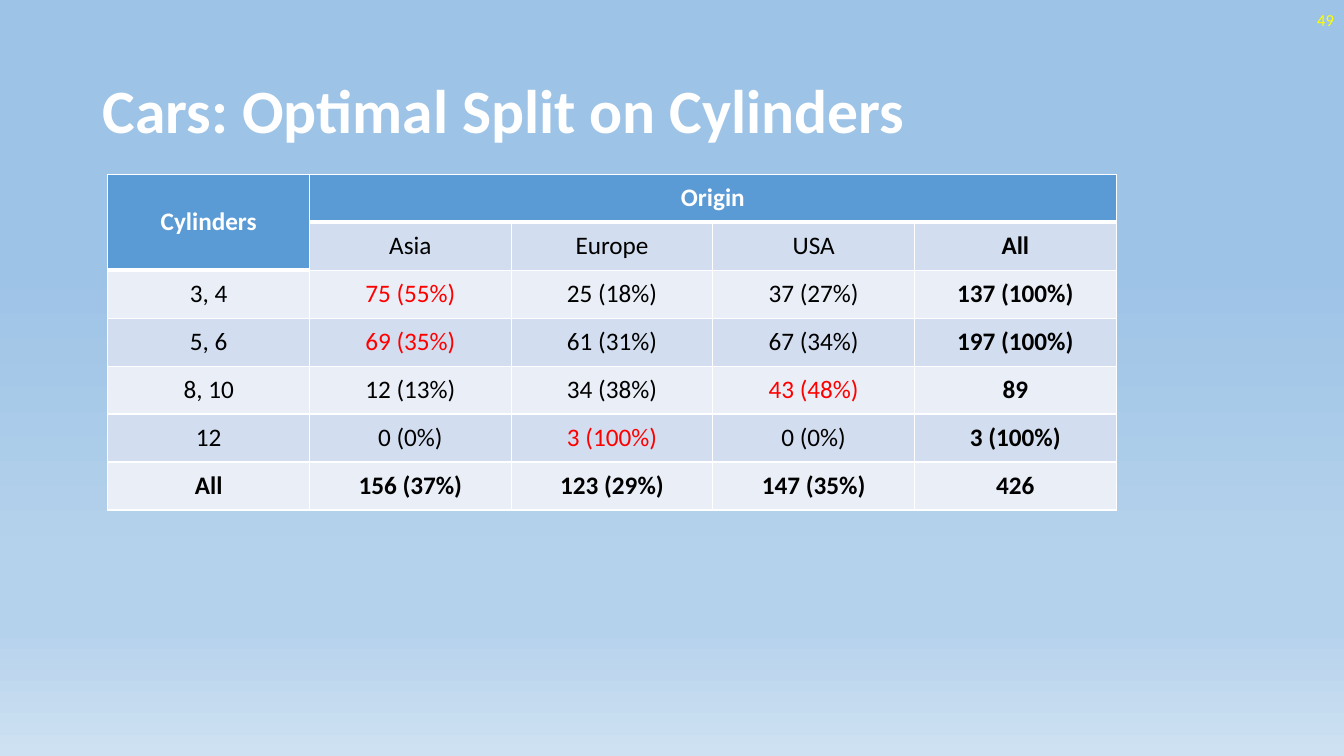
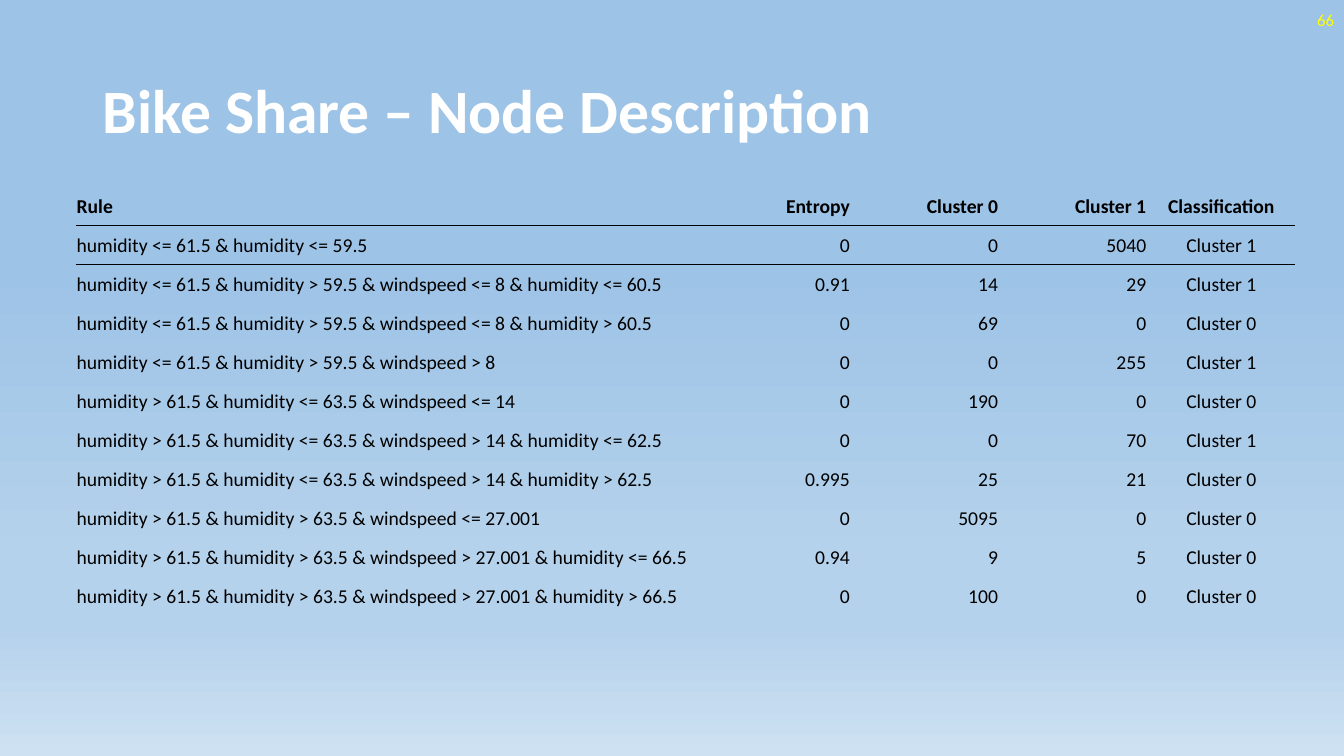
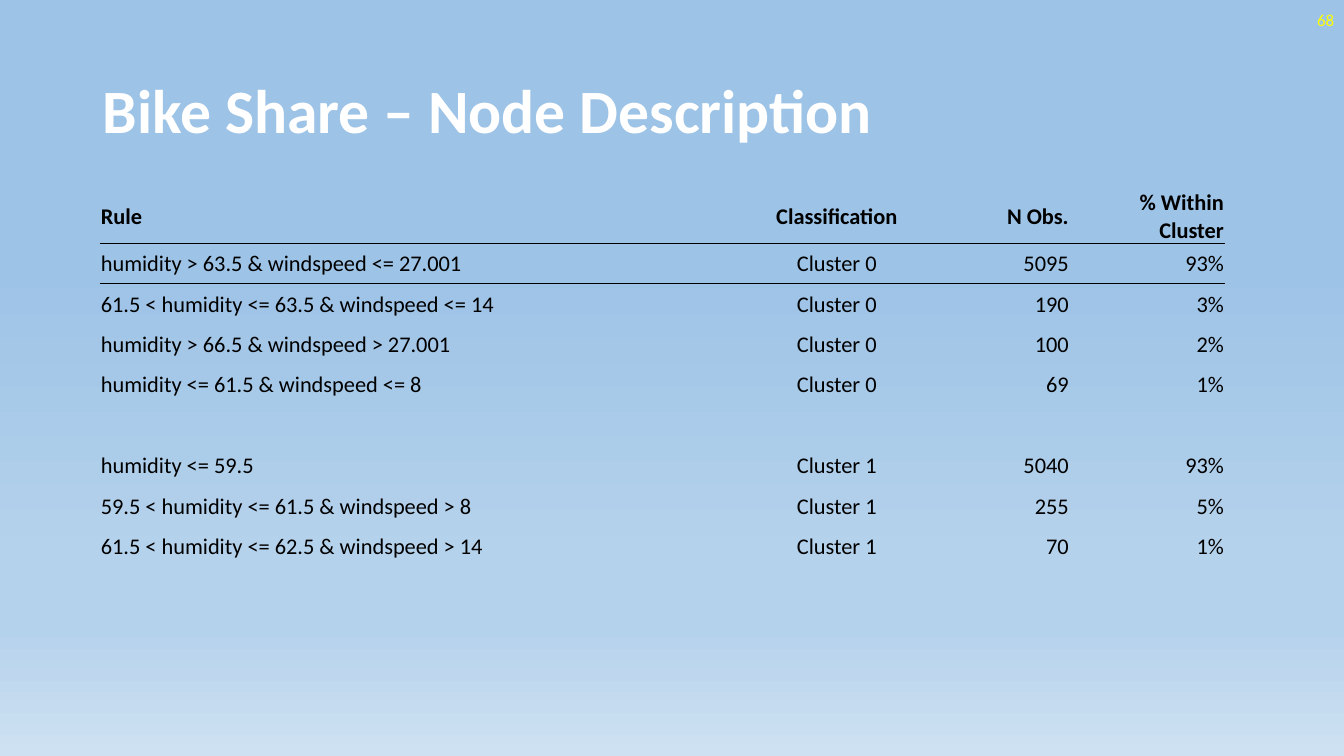
"""Build three slides with decision tree tables on a shared gradient background."""
from lxml import etree
from pptx import Presentation
from pptx.dml.color import RGBColor
from pptx.enum.text import MSO_ANCHOR, PP_ALIGN
from pptx.oxml.ns import qn
from pptx.util import Inches, Pt

LEFT, CENTER, RIGHT = PP_ALIGN.LEFT, PP_ALIGN.CENTER, PP_ALIGN.RIGHT
MIDDLE = MSO_ANCHOR.MIDDLE
FONT = "Calibri"
WHITE, BLACK, RED, YELLOW = "FFFFFF", "000000", "FF0000", "FFFF00"
HEADER_BLUE, BAND_DARK, BAND_LIGHT = "5B9BD5", "D2DEEF", "EAEFF7"
BACKGROUND_STOPS = [(35, "9DC3E6"), (74, "B5D2EC"), (83, "B5D2EC"), (100, "CEE1F2")]
NO_GRID_STYLE = "{2D5ABB26-0587-4C30-8999-92F81FD0307C}"

CARS = [
    ["Cylinders", "Origin", "", "", ""],
    ["", "Asia", "Europe", "USA", "All"],
    ["3, 4", "75 (55%)", "25 (18%)", "37 (27%)", "137 (100%)"],
    ["5, 6", "69 (35%)", "61 (31%)", "67 (34%)", "197 (100%)"],
    ["8, 10", "12 (13%)", "34 (38%)", "43 (48%)", "89"],
    ["12", "0 (0%)", "3 (100%)", "0 (0%)", "3 (100%)"],
    ["All", "156 (37%)", "123 (29%)", "147 (35%)", "426"],
]
LARGEST_SHARES = {(2, 1), (3, 1), (4, 3), (5, 2)}

NODES = [
    ["Rule", "Entropy", "Cluster 0", "Cluster 1", "Classification"],
    ["humidity <= 61.5 & humidity <= 59.5", "0", "0", "5040", "Cluster 1"],
    ["humidity <= 61.5 & humidity > 59.5 & windspeed <= 8 & humidity <= 60.5",
     "0.91", "14", "29", "Cluster 1"],
    ["humidity <= 61.5 & humidity > 59.5 & windspeed <= 8 & humidity > 60.5",
     "0", "69", "0", "Cluster 0"],
    ["humidity <= 61.5 & humidity > 59.5 & windspeed > 8", "0", "0", "255", "Cluster 1"],
    ["humidity > 61.5 & humidity <= 63.5 & windspeed <= 14", "0", "190", "0", "Cluster 0"],
    ["humidity > 61.5 & humidity <= 63.5 & windspeed > 14 & humidity <= 62.5",
     "0", "0", "70", "Cluster 1"],
    ["humidity > 61.5 & humidity <= 63.5 & windspeed > 14 & humidity > 62.5",
     "0.995", "25", "21", "Cluster 0"],
    ["humidity > 61.5 & humidity > 63.5 & windspeed <= 27.001", "0", "5095", "0", "Cluster 0"],
    ["humidity > 61.5 & humidity > 63.5 & windspeed > 27.001 & humidity <= 66.5",
     "0.94", "9", "5", "Cluster 0"],
    ["humidity > 61.5 & humidity > 63.5 & windspeed > 27.001 & humidity > 66.5",
     "0", "100", "0", "Cluster 0"],
]

CLUSTERS = [
    ["Rule", "Classification", "N Obs.", "% Within Cluster"],
    ["humidity > 63.5 & windspeed <= 27.001", "Cluster 0", "5095", "93%"],
    ["61.5 < humidity <= 63.5 & windspeed <= 14", "Cluster 0", "190", "3%"],
    ["humidity > 66.5 & windspeed > 27.001", "Cluster 0", "100", "2%"],
    ["humidity <= 61.5 & windspeed <= 8", "Cluster 0", "69", "1%"],
    ["", "", "", ""],
    ["humidity <= 59.5", "Cluster 1", "5040", "93%"],
    ["59.5 < humidity <= 61.5 & windspeed > 8", "Cluster 1", "255", "5%"],
    ["61.5 < humidity <= 62.5 & windspeed > 14", "Cluster 1", "70", "1%"],
]


def rgb(value):
    """Return the colour for a hex string."""
    return RGBColor.from_string(value)


def write(frame, text, size, color, bold=False, **paragraph_format):
    """Write one formatted run into the first paragraph of a text frame."""
    para = frame.paragraphs[0]
    for name, value in paragraph_format.items():
        setattr(para, name, value)
    if not text:
        return
    span = para.add_run()
    span.text = text
    for name, value in {"name": FONT, "size": Pt(size), "bold": bold}.items():
        setattr(span.font, name, value)
    span.font.color.rgb = rgb(color)


def set_background(master):
    """Give the slide master a vertical gradient that every page inherits."""
    fill = master.background.fill
    fill.gradient()
    fill.gradient_angle = 270
    stops = master.element.find(".//" + qn("a:gsLst"))
    for stop in list(stops):
        stops.remove(stop)
    for position, color in BACKGROUND_STOPS:
        stop = etree.SubElement(stops, qn("a:gs"), pos=str(position * 1000))
        etree.SubElement(stop, qn("a:srgbClr"), val=color)


def add_text(page, place, text, size, color, **text_format):
    """Add a wrapped, vertically centred text box."""
    box = page.shapes.add_textbox(*map(Inches, place))
    box.text_frame.word_wrap = True
    box.text_frame.vertical_anchor = MIDDLE
    write(box.text_frame, text, size, color, **text_format)


def add_page(deck, title, number):
    """Add a blank page with its title and page number."""
    page = deck.slides.add_slide(deck.slide_layouts[6])
    add_text(page, (0.92, 0.4, 11.5, 1.45), title, 44, WHITE, bold=True, line_spacing=0.9)
    add_text(page, (10.33, 0, 3, 0.4), str(number), 12, YELLOW, alignment=RIGHT)
    return page


def add_plain_table(page, place, rows):
    """Add an unstyled table with evenly divided rows and columns."""
    frame = page.shapes.add_table(len(rows), len(rows[0]), *map(Inches, place))
    frame.element.find(".//" + qn("a:tableStyleId")).text = NO_GRID_STYLE
    return frame.table


def set_borders(cell, color, **widths):
    """Draw solid cell borders, given in points in the order L, R, T, B."""
    properties = cell._tc.get_or_add_tcPr()
    for side, width in widths.items():
        line = etree.SubElement(properties, qn("a:ln" + side), w=str(Pt(width)))
        fill = etree.SubElement(line, qn("a:solidFill"))
        etree.SubElement(fill, qn("a:srgbClr"), val=color)


def add_cars_table(page):
    """Add the banded cross table of cylinders by origin."""
    table = add_plain_table(page, (1.07, 1.73, 10, 3.33), CARS)
    last_row, last_column = len(CARS) - 1, len(CARS[0]) - 1
    for row, values in enumerate(CARS):
        for column, text in enumerate(values):
            cell = table.cell(row, column)
            body_start = 2 if column == 0 else 1
            header = row < body_start
            set_borders(cell, WHITE, L=1, R=1, T=3 if row == body_start else 1,
                        B=3 if header else 1)
            band = BAND_DARK if row % 2 else BAND_LIGHT
            cell.fill.solid()
            cell.fill.fore_color.rgb = rgb(HEADER_BLUE if header else band)
            cell.vertical_anchor = MIDDLE
            body_color = RED if (row, column) in LARGEST_SHARES else BLACK
            bold = header or row == last_row or column == last_column
            write(cell.text_frame, text, 18, WHITE if header else body_color, bold,
                  alignment=CENTER)
    table.cell(0, 0).merge(table.cell(1, 0))
    table.cell(0, 1).merge(table.cell(0, last_column))


def add_rule_table(page, place, rows, size, widths, alignments):
    """Add an open table of rules with a line under its header."""
    table = add_plain_table(page, place, rows)
    for column, width in zip(table.columns, widths):
        column.width = Inches(width)
    margin = Inches(0.01)
    cell_format = {"margin_left": margin, "margin_right": margin, "margin_top": margin,
                   "margin_bottom": 0, "vertical_anchor": MIDDLE}
    for row, values in enumerate(rows):
        for column, text in enumerate(values):
            cell = table.cell(row, column)
            for name, value in cell_format.items():
                setattr(cell, name, value)
            if row < 2:
                set_borders(cell, BLACK, **{"BT"[row]: 0.5})
            cell.fill.background()
            write(cell.text_frame, text, size, BLACK, row == 0, alignment=alignments[column])


def main():
    """Build and save the deck."""
    deck = Presentation()
    deck.slide_width, deck.slide_height = Inches(13.33), Inches(7.5)
    set_background(deck.slide_master)

    add_cars_table(add_page(deck, "Cars: Optimal Split on Cylinders", 49))

    node_title = "Bike Share – Node Description"
    add_rule_table(add_page(deck, node_title, 66), (0.75, 1.85, 12.1, 4.26), NODES, 14,
                   [6.22] + [1.47] * 4, [LEFT, RIGHT, RIGHT, RIGHT, CENTER])
    add_rule_table(add_page(deck, node_title, 68), (0.99, 1.87, 11.16, 3.61), CLUSTERS, 16,
                   [6.54] + [1.54] * 3, [LEFT, CENTER, RIGHT, RIGHT])

    deck.save("out.pptx")


if __name__ == "__main__":
    main()
